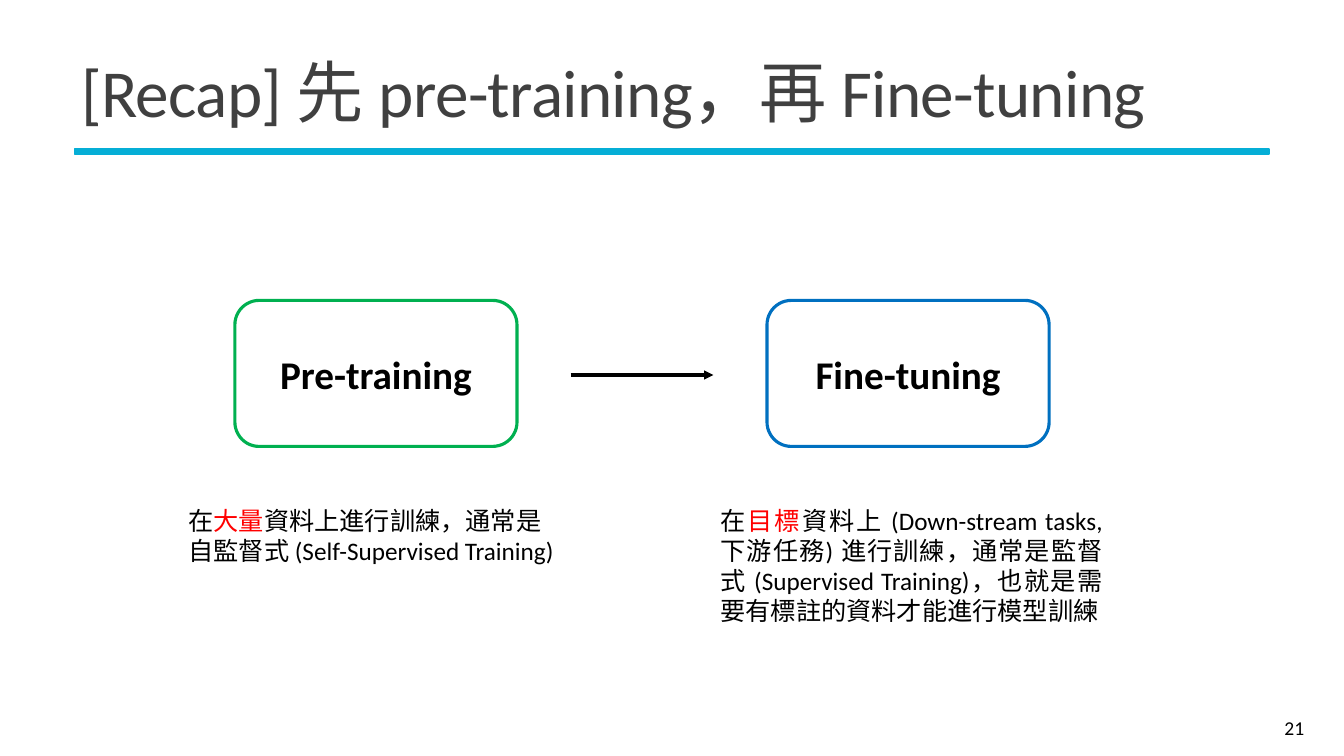
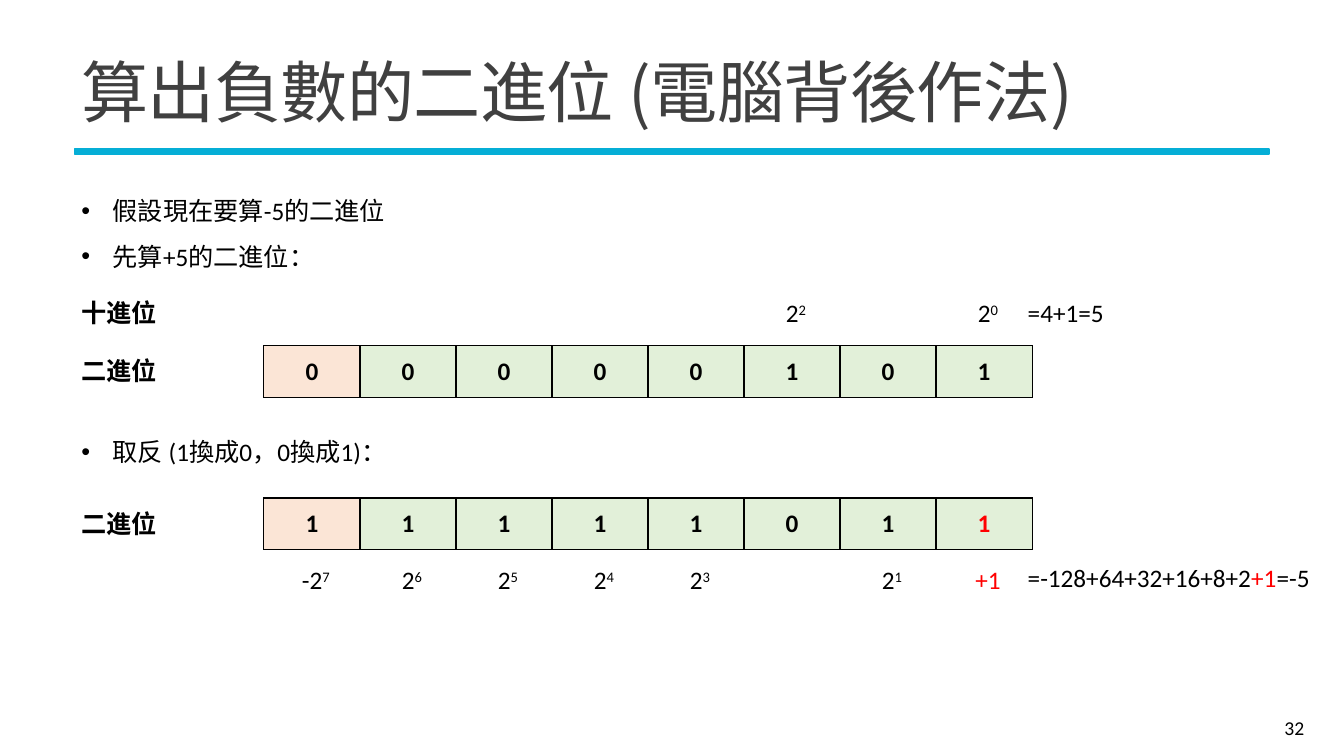
from lxml.etree import SubElement as Sub
from pptx import Presentation as Deck
from pptx.dml.color import RGBColor as Rgb
from pptx.enum.shapes import MSO_CONNECTOR as Link, MSO_SHAPE as Form
from pptx.enum.text import MSO_ANCHOR as Anchor, PP_ALIGN as Align
from pptx.oxml.ns import qn
from pptx.util import Cm, Pt

INK, GREY, RED, CYAN = "000000", "404040", "FF0000", "05AED6"
GREEN, BLUE, PEACH, MINT = "00B050", "0070C0", "FBE5D6", "E2F0D9"
LATIN, HAN = "Calibri", "Noto Sans CJK TC"
BODY = {"name": LATIN, "size": Pt(18), "bold": False}
BOLD = {**BODY, "bold": True}
HEAD = {**BODY, "size": Pt(48)}
FOOT = {**BODY, "size": Pt(14)}
STEP = {**BOLD, "size": Pt(28)}
LEFT, CELL_X, CELL_W, CELL_H = 1.8, 6.65, 2.42, 1.3
SUM_X, ROW_H = 25.65, 1.02


def tint(code):
    return Rgb.from_string(code)


def apply(target, values):
    for key, value in values.items():
        setattr(target, key, value)


def write(para, parts, style, color=INK, **marks):
    if isinstance(parts, str):
        parts = [(parts, {})]
    for text, change in parts:
        extra = dict(change)
        run = para.add_run()
        run.text = text
        hue = extra.pop("color", color)
        base = extra.pop("base", None)
        apply(run.font, {**style, **extra})
        run.font.color.rgb = tint(hue)
        props = run.font._element
        Sub(props, qn("a:ea")).set("typeface", HAN)
        if base:
            props.set("baseline", base)
        for key, value in marks.items():
            props.set(key, value)


def add_text(slide, box, parts, style=BODY, color=INK, align=Align.LEFT,
             anchor=Anchor.TOP, space=None, **marks):
    frame = slide.shapes.add_textbox(*map(Cm, box)).text_frame
    apply(frame, {"word_wrap": True, "vertical_anchor": anchor})
    para = frame.paragraphs[0]
    apply(para, {"alignment": align, "line_spacing": space})
    write(para, parts, style, color, **marks)


def add_list(slide, top, high, lines):
    frame = slide.shapes.add_textbox(*map(Cm, (LEFT, top, 26.7, high))).text_frame
    frame.word_wrap = True
    for i, line in enumerate(lines):
        para = frame.add_paragraph() if i else frame.paragraphs[0]
        para.line_spacing = 1.5
        props = para._p.get_or_add_pPr()
        props.set("marL", str(Cm(0.79)))
        props.set("indent", str(-Cm(0.79)))
        Sub(props, qn("a:buFont")).set("typeface", "Arial")
        Sub(props, qn("a:buChar")).set("char", "•")
        write(para, line, BODY)


def add_frame(deck, title, number):
    slide = deck.slides.add_slide(deck.slide_layouts[6])
    bar = slide.shapes.add_shape(Form.RECTANGLE, *map(Cm, (1.88, 3.76, 30.1, 0.13)))
    bar.shadow.inherit = False
    bar.fill.solid()
    bar.fill.fore_color.rgb = bar.line.color.rgb = tint(CYAN)
    bar.line.width = Pt(1.25)
    add_text(slide, (LEFT, 1, 30.33, 2.87), title, HEAD, GREY,
             anchor=Anchor.MIDDLE, space=0.85, spc="-50")
    add_text(slide, (29.49, 17.83, 3.63, ROW_H), number, FOOT,
             align=Align.RIGHT, anchor=Anchor.MIDDLE)
    return slide


def add_step(slide, left, label, color):
    card = slide.shapes.add_shape(Form.ROUNDED_RECTANGLE,
                                  *map(Cm, (left, 7.57, 7.11, 3.68)))
    card.shadow.inherit = False
    card.fill.background()
    card.line.color.rgb = tint(color)
    card.line.width = Pt(2.25)
    card.text_frame.vertical_anchor = Anchor.MIDDLE
    para = card.text_frame.paragraphs[0]
    para.alignment = Align.CENTER
    write(para, label, STEP)


def add_arrow(slide, start, end, top):
    arrow = slide.shapes.add_connector(Link.STRAIGHT, *map(Cm, (start, top, end, top)))
    arrow.line.color.rgb = tint(INK)
    arrow.line.width = Pt(2.25)
    Sub(arrow.line._get_or_add_ln(), qn("a:tailEnd")).set("type", "triangle")
    Sub(arrow._element.spPr, qn("a:effectLst"))


def add_edge(cell):
    props = cell._tc.get_or_add_tcPr()
    for i, side in enumerate("LRTB"):
        edge = Sub(props, qn("a:ln" + side), w=str(Pt(1)))
        fill = Sub(edge, qn("a:solidFill"))
        Sub(fill, qn("a:srgbClr")).set("val", INK)
        props.insert(i, edge)


def add_bits(slide, top, bits, last=INK):
    count = len(bits)
    table = slide.shapes.add_table(
        1, count, *map(Cm, (CELL_X, top, CELL_W * count, CELL_H))).table
    apply(table, {"first_row": False, "horz_banding": False})
    for i, bit in enumerate(bits):
        table.columns[i].width = Cm(CELL_W)
        cell = table.cell(0, i)
        cell.vertical_anchor = Anchor.MIDDLE
        cell.fill.solid()
        cell.fill.fore_color.rgb = tint(MINT if i else PEACH)
        add_edge(cell)
        para = cell.text_frame.paragraphs[0]
        para.alignment = Align.CENTER
        write(para, bit, BOLD, last if i == count - 1 else INK)
    add_text(slide, (LEFT, top + 0.13, 4.4, ROW_H), "二進位", BOLD)


def add_term(slide, col, top, parts, color=INK):
    left = CELL_X + 0.1 + col * CELL_W
    add_text(slide, (left, top, CELL_W, ROW_H), parts, color=color, align=Align.CENTER)


def add_power(slide, col, top):
    base = "2" if col else "-2"
    add_term(slide, col, top, [(base, {}), (str(7 - col), {"base": "30000"})])


def train_slide(deck):
    han = {"name": HAN}
    slide = add_frame(deck, [("[Recap] ", {}), ("先", han), (" pre-training，", {}),
                             ("再 ", han), ("Fine-tuning", {})], "21")
    steps = [
        ("Pre-training", GREEN, 9.96, Align.LEFT, "大量",
         "資料上進行訓練，通常是自監督式 (Self-Supervised Training)"),
        ("Fine-tuning", BLUE, 10.13, Align.JUSTIFY, "目標",
         "資料上 (Down-stream tasks, 下游任務) 進行訓練，通常是監督式 "
         "(Supervised Training)，也就是需要有標註的資料才能進行模型訓練"),
    ]
    for i, (label, color, wide, align, key, rest) in enumerate(steps):
        shift = 13.41 * i
        add_step(slide, 5.92 + shift, label, color)
        add_text(slide, (4.5 + shift, 12.6, wide, 3.33),
                 [("在", {}), (key, {"color": RED}), (rest, {})], align=align)
    add_arrow(slide, 14.38, 17.98, 9.45)


def bits_slide(deck):
    slide = add_frame(deck, [("算出負數的二進位 (電腦背後作法)", {"name": HAN})], "32")
    add_list(slide, 4.42, 2.44, ["假設現在要算-5的二進位", "先算+5的二進位："])
    add_text(slide, (LEFT, 7.37, 4.4, ROW_H), "十進位", BOLD)
    for col in (5, 7):
        add_power(slide, col, 7.37)
    add_text(slide, (SUM_X, 7.37, 6.3, ROW_H), "=4+1=5")
    add_bits(slide, 8.71, "00000101")
    add_list(slide, 10.49, 1.3, ["取反 (1換成0，0換成1)："])
    add_bits(slide, 12.55, "11111011", RED)
    for col in (0, 1, 2, 3, 4, 6):
        add_power(slide, col, 14.1)
    add_term(slide, 7, 14.1, "+1", RED)
    add_text(slide, (SUM_X, 14.05, 7.8, ROW_H),
             [("=-128+64+32+16+8+2", {}), ("+1", {"color": RED}), ("=-5", {})])


def main():
    deck = Deck()
    apply(deck, {"slide_width": Cm(33.87), "slide_height": Cm(19.05)})
    train_slide(deck)
    bits_slide(deck)
    deck.save("out.pptx")


if __name__ == "__main__":
    main()
